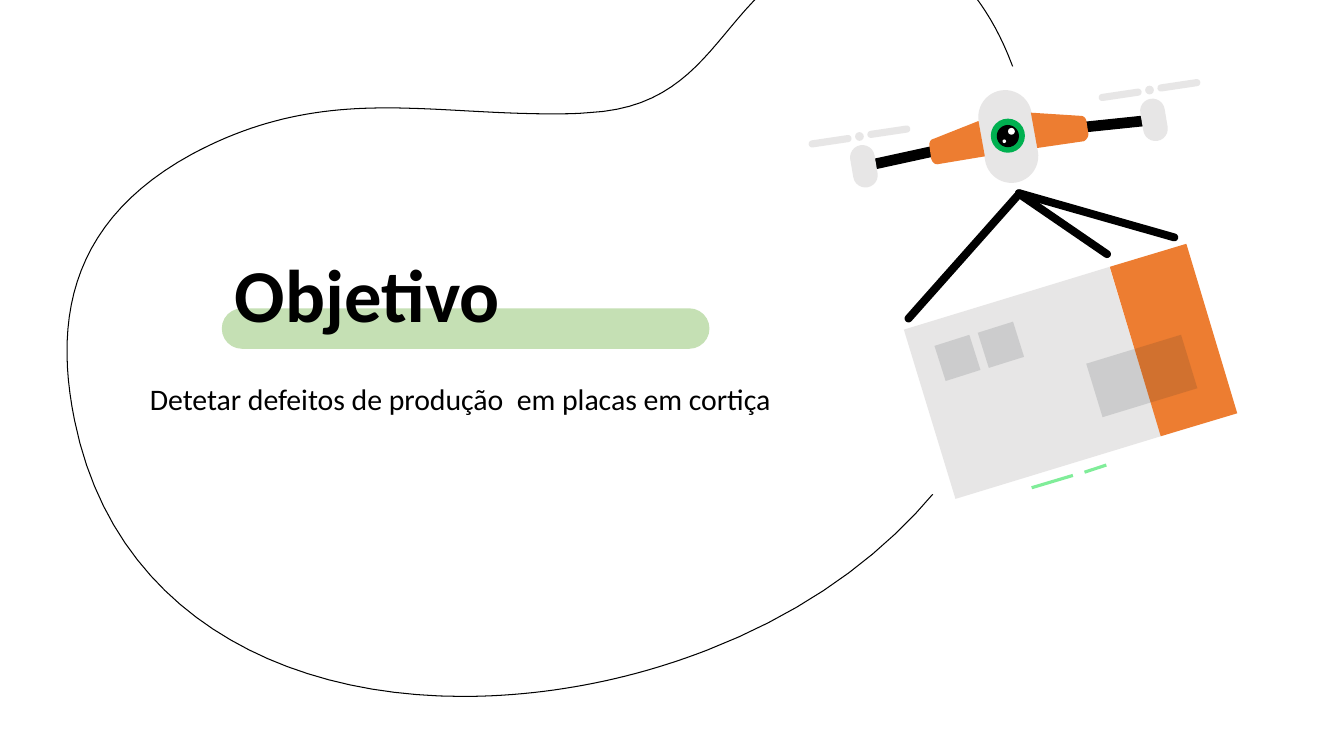
from math import atan2, degrees, hypot

from lxml.etree import SubElement
from pptx import Presentation
from pptx.dml.color import RGBColor
from pptx.enum.shapes import MSO_SHAPE as Preset
from pptx.enum.text import MSO_ANCHOR as Anchor, PP_ALIGN as Align
from pptx.oxml.ns import qn
from pptx.util import Cm, Pt

BLACK = RGBColor(0x00, 0x00, 0x00)
WHITE = RGBColor(0xFF, 0xFF, 0xFF)
GREY = RGBColor(0xE7, 0xE6, 0xE6)
ORANGE = RGBColor(0xED, 0x7D, 0x31)
GREEN = RGBColor(0x00, 0xB0, 0x50)
MINT = RGBColor(0x80, 0xED, 0x99)
PALE_GREEN = RGBColor(0xC5, 0xE0, 0xB4)
LABEL_SHADE = RGBColor(0x1A, 0x23, 0x27)
CURVE_STEPS = 24

TRAIL = [
    [(22.05, -1.5)],
    [(21.54, -1.5), (20.98, -1.35), (20.37, -1.04)],
    [(18.08, 0.15), (17.93, 2.69), (14.83, 2.84)],
    [(14.5, 2.87), (14.2, 2.87), (13.89, 2.87)],
    [(12.42, 2.87), (11.07, 2.72), (9.73, 2.72)],
    [(8.15, 2.72), (6.58, 2.95), (4.83, 3.89)],
    [(1.91, 5.49), (1.32, 7.85), (1.88, 10.59)],
    [(2.84, 15.34), (6.96, 17.55), (11.66, 17.55)],
    [(13.67, 17.55), (15.8, 17.17), (17.83, 16.38)],
    [(24.26, 13.89), (27.25, 8.2), (25.78, 2.51)],
    [(25.35, 0.79), (24.13, -1.5), (22.05, -1.5)],
]
RIGHT_WING = [
    [(25.98, 2.84)], [(26.14, 3.73)], [(27.31, 3.56)],
    [(27.38, 3.53), (27.43, 3.45), (27.43, 3.38)],
    [(27.38, 3.05)],
    [(27.36, 2.97), (27.31, 2.92), (27.23, 2.92)],
]
LEFT_WING = [
    [(24.66, 3.05)], [(23.5, 3.51)],
    [(23.44, 3.53), (23.42, 3.61), (23.42, 3.66)],
    [(23.47, 4.01)],
    [(23.5, 4.09), (23.55, 4.14), (23.62, 4.14)],
    [(24.82, 3.94)],
]


def paint(shape, color, opacity=100):
    shape.shadow.inherit = False
    shape.line.fill.background()
    shape.fill.solid()
    shape.fill.fore_color.rgb = color
    if opacity < 100:
        tint = shape.fill._xPr.find(qn("a:solidFill"))[0]
        SubElement(tint, qn("a:alpha")).set("val", str(opacity * 1000))


def add_disc(slide, center, diameter, color):
    left, top = (value - diameter / 2 for value in center)
    disc = slide.shapes.add_shape(
        Preset.OVAL, Cm(left), Cm(top), Cm(diameter), Cm(diameter))
    paint(disc, color)


def add_bar(slide, start, end, thickness, color, rounded=False, opacity=100):
    (x1, y1), (x2, y2) = start, end
    length = hypot(x2 - x1, y2 - y1)
    preset = Preset.ROUNDED_RECTANGLE if rounded else Preset.RECTANGLE
    bar = slide.shapes.add_shape(
        preset, Cm((x1 + x2 - length) / 2), Cm((y1 + y2 - thickness) / 2),
        Cm(length), Cm(thickness))
    if rounded:
        bar.adjustments[0] = 0.5
    bar.rotation = degrees(atan2(y2 - y1, x2 - x1))
    paint(bar, color, opacity)


def curve_point(controls, t):
    weights = ((1 - t) ** 3, 3 * t * (1 - t) ** 2, 3 * t * t * (1 - t), t ** 3)
    return tuple(sum(w * point[axis] for w, point in zip(weights, controls))
                 for axis in (0, 1))


def add_outline(slide, segments):
    points = list(segments[0])
    for segment in segments[1:]:
        if len(segment) == 1:
            points += segment
        else:
            controls = [points[-1], *segment]
            points += [curve_point(controls, step / CURVE_STEPS)
                       for step in range(1, CURVE_STEPS + 1)]
    corners = [(Cm(x), Cm(y)) for x, y in points]
    builder = slide.shapes.build_freeform(*corners[0])
    builder.add_line_segments(corners[1:], close=True)
    return builder.convert_to_shape()


def add_text(slide, left, top, width, height, text, size, bold=False):
    box = slide.shapes.add_textbox(Cm(left), Cm(top), Cm(width), Cm(height))
    frame = box.text_frame
    frame.word_wrap = True
    frame.vertical_anchor = Anchor.TOP
    frame.margin_left = frame.margin_right = Cm(0.33)
    frame.margin_top = frame.margin_bottom = Cm(0.33)
    frame.text = text
    paragraph = frame.paragraphs[0]
    paragraph.alignment = Align.LEFT
    font = paragraph.runs[0].font
    font.name, font.size, font.bold = "Calibri", Pt(size), bold
    font.color.rgb = BLACK
    return paragraph


def add_trail(slide):
    trail = add_outline(slide, TRAIL)
    trail.shadow.inherit = False
    trail.fill.background()
    trail.line.color.rgb = BLACK
    trail.line.width = Pt(0.75)


def add_propeller(slide, hub):
    x, y = hub
    add_bar(slide, (x + 0.02, y + 0.22), (x + 0.2, y + 1.28), 0.62, GREY, True)
    add_disc(slide, hub, 0.22, GREY)
    for side in (-1, 1):
        add_bar(slide, (x + side * 0.74 - 0.54, y - side * 0.12 + 0.08),
                (x + side * 0.74 + 0.54, y - side * 0.12 - 0.08),
                0.18, GREY, True)


def add_parcel(slide):
    for start, end in (((26, 12.29), (27.04, 11.98)),
                       ((27.33, 11.9), (27.88, 11.72))):
        add_bar(slide, start, end, 0.08, MINT)
    seam = (28.61, 8.86)
    add_bar(slide, (23.43, 10.44), seam, 4.46, GREY)
    add_bar(slide, seam, (30.54, 8.28), 4.46, ORANGE)
    for start, end, height in (((27.58, 9.84), (29.97, 9.11), 1.41),
                               ((23.69, 9.16), (24.57, 8.88), 0.93),
                               ((24.78, 8.83), (25.67, 8.55), 0.93)):
        add_bar(slide, start, end, height, LABEL_SHADE, opacity=13)


def add_drone(slide):
    add_bar(slide, (25.22, 2.28), (25.6, 4.6), 1.35, GREY, True)
    for center, diameter, color in (((25.4, 3.42), 0.86, GREEN),
                                    ((25.4, 3.43), 0.56, BLACK),
                                    ((25.49, 3.31), 0.17, WHITE),
                                    ((25.31, 3.56), 0.09, WHITE)):
        add_disc(slide, center, diameter, color)
    for arm_start, arm_end, hub, wing in (
            ((27.25, 3.21), (29.08, 3.02), (28.97, 2.27), RIGHT_WING),
            ((21.79, 4.19), (23.58, 3.8), (21.66, 3.44), LEFT_WING)):
        add_bar(slide, arm_start, arm_end, 0.27, BLACK)
        add_propeller(slide, hub)
        paint(add_outline(slide, wing), ORANGE)
    for start, end in (((25.58, 4.84), (29.69, 6.01)),
                       ((25.6, 4.83), (27.98, 6.46)),
                       ((22.83, 8.1), (25.76, 4.8))):
        add_bar(slide, start, end, 0.2, BLACK, True)


def main():
    deck = Presentation()
    deck.slide_width, deck.slide_height = Cm(33.87), Cm(19.05)
    slide = deck.slides.add_slide(deck.slide_layouts[6])
    add_trail(slide)
    add_bar(slide, (5.59, 8.28), (17.88, 8.28), 1.02, PALE_GREEN, True)
    title = add_text(slide, 5.59, 6.17, 14.33, 2.59, "Objetivo", 53.3, True)
    title.line_spacing = 0.9
    add_text(slide, 3.45, 9.27, 16.56, 3.81,
             "Detetar defeitos de produção  em placas em cortiça", 21.3)
    add_disc(slide, (26.42, 7.42), 11.63, WHITE)
    add_parcel(slide)
    add_drone(slide)
    deck.save("out.pptx")


if __name__ == "__main__":
    main()
